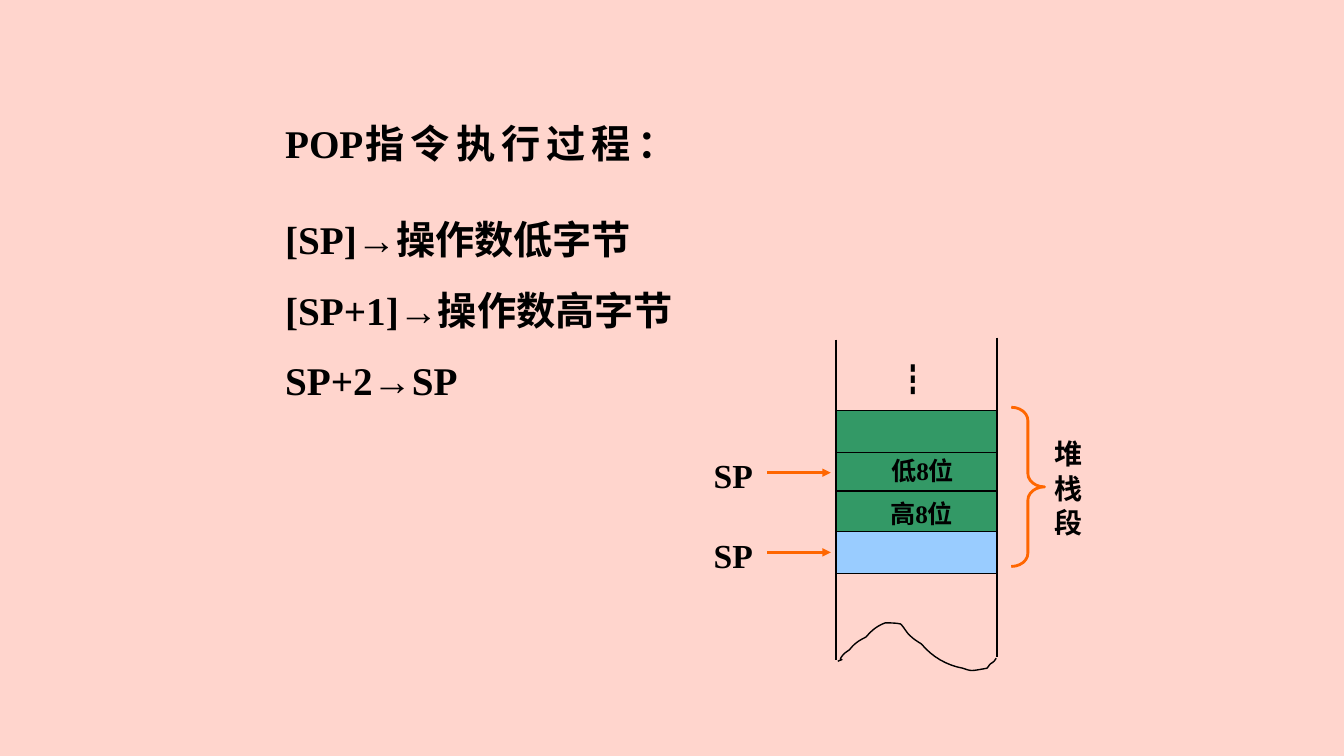
from dataclasses import dataclass

from lxml import etree
from pptx import Presentation
from pptx.dml.color import RGBColor
from pptx.enum.shapes import MSO_CONNECTOR, MSO_SHAPE
from pptx.enum.text import PP_ALIGN
from pptx.oxml.ns import qn
from pptx.util import Inches, Pt

RECTANGLE = MSO_SHAPE.RECTANGLE
RIGHT_BRACE = MSO_SHAPE.RIGHT_BRACE
STRAIGHT = MSO_CONNECTOR.STRAIGHT
LEFT = PP_ALIGN.LEFT
JUSTIFY = PP_ALIGN.JUSTIFY
BLANK_LAYOUT = 6
CURVE_STEPS = 8


@dataclass(frozen=True)
class Theme:
    """Colours, fonts and type sizes of the slide."""

    background: RGBColor = RGBColor(0xFF, 0xD5, 0xCD)
    ink: RGBColor = RGBColor(0, 0, 0)
    used: RGBColor = RGBColor(0x33, 0x99, 0x66)
    free: RGBColor = RGBColor(0x99, 0xCC, 0xFF)
    accent: RGBColor = RGBColor(0xFF, 0x66, 0x00)
    latin: str = "Times New Roman"
    chinese: str = "Noto Sans CJK SC"
    body: int = 28
    pointer: int = 24
    side: int = 20
    cell: int = 18
    leading: float = 1.22


@dataclass(frozen=True)
class Span:
    """A stretch of text with its letter spacing in points."""

    text: str
    tracking: int = 0


@dataclass(frozen=True)
class Label:
    """A text box with its paragraphs."""

    left: float
    top: float
    width: float
    height: float
    size: int
    paras: tuple[tuple[Span, ...], ...]
    align: PP_ALIGN = LEFT
    spread: float = 1.0
    before: int = 0
    wrap: bool = True
    bold: bool = True
    latin: str = "Times New Roman"


@dataclass(frozen=True)
class Line:
    """A straight line, with or without an arrowhead."""

    start: tuple[float, float]
    end: tuple[float, float]
    color: RGBColor
    weight: float
    arrow: bool = False


@dataclass(frozen=True)
class Cell:
    """A memory cell of the stack."""

    row: int
    fill: RGBColor


THEME = Theme()
STACK_LEFT, STACK_RIGHT = 8.29, 9.89
STACK_TOP, ROW_PITCH, ROW_HEIGHT = 4.07, 0.4, 0.42

CELLS = (
    Cell(1, THEME.used),
    Cell(2, THEME.used),
    Cell(3, THEME.free),
    Cell(0, THEME.used),
)

STEPS = ("[SP]→操作数低字节", "[SP+1]→操作数高字节", "SP+2→SP")
LABELS = (
    Label(2.73, 1.94, 4.88, 2.05, THEME.body,
          tuple((Span(step),) for step in STEPS), JUSTIFY, 1.3, 6),
    Label(2.73, 1.13, 3.69, 0.56, THEME.body,
          ((Span("POP"), Span("指令执行过程：", 3)),), JUSTIFY, wrap=False),
    Label(8.79, 3.5, 0.67, 0.5, THEME.pointer, ((Span("┇"),),),
          bold=False, latin=THEME.chinese),
    Label(10.36, 4.28, 0.5, 1.02, THEME.side, ((Span("堆栈段"),),)),
    Label(8.73, 4.89, 1.02, 0.4, THEME.cell, ((Span("高8位"),),)),
    Label(8.74, 4.46, 1.01, 0.4, THEME.cell, ((Span("低8位"),),)),
)
POINTER_TOPS = (5.25, 4.46)

WALLS = (
    Line((STACK_LEFT, 3.37), (STACK_LEFT, 6.55), THEME.ink, 1),
    Line((STACK_RIGHT, 3.35), (STACK_RIGHT, 6.52), THEME.ink, 1),
)

TORN_START = (8.31, 6.56)
TORN_CURVES = (
    ((8.41, 6.52), (8.29, 6.58), (8.36, 6.5)),
    ((8.38, 6.47), (8.42, 6.46), (8.44, 6.43)),
    ((8.48, 6.38), (8.53, 6.35), (8.59, 6.32)),
    ((8.65, 6.25), (8.7, 6.21), (8.78, 6.18)),
    ((8.83, 6.18), (8.88, 6.18), (8.93, 6.19)),
    ((8.95, 6.2), (8.99, 6.27), (9.01, 6.29)),
    ((9.07, 6.35), (9.08, 6.35), (9.14, 6.39)),
    ((9.25, 6.52), (9.39, 6.6), (9.55, 6.63)),
    ((9.64, 6.66), (9.62, 6.66), (9.79, 6.63)),
    ((9.8, 6.62), (9.81, 6.6), (9.82, 6.59)),
    ((9.83, 6.58), (9.84, 6.58), (9.86, 6.56)),
    ((9.87, 6.55), (9.88, 6.53), (9.88, 6.53)),
)


def add_label(page, label: Label) -> None:
    """Write a label run by run."""
    box = page.shapes.add_textbox(
        Inches(label.left), Inches(label.top), Inches(label.width), Inches(label.height))
    frame = box.text_frame
    frame.word_wrap = label.wrap
    for index, spans in enumerate(label.paras):
        para = frame.add_paragraph() if index else frame.paragraphs[0]
        para.alignment = label.align
        para.line_spacing = Pt(round(label.size * THEME.leading * label.spread, 1))
        if index:
            para.space_before = Pt(label.before)
        for span in spans:
            run = para.add_run()
            run.text = span.text
            run.font.size = Pt(label.size)
            run.font.bold = label.bold
            run.font.color.rgb = THEME.ink
            run.font.name = label.latin
            properties = run.font._element
            etree.SubElement(properties, qn("a:ea"), typeface=THEME.chinese)
            if span.tracking:
                properties.set("spc", str(span.tracking * 100))


def add_line(page, line: Line) -> None:
    """Draw a straight line without a shadow."""
    ends = [Inches(value) for value in (*line.start, *line.end)]
    connector = page.shapes.add_connector(STRAIGHT, *ends)
    connector.line.color.rgb = line.color
    connector.line.width = Pt(line.weight)
    if line.arrow:
        etree.SubElement(connector.line._get_or_add_ln(), qn("a:tailEnd"), type="triangle")
    etree.SubElement(connector._element.spPr, qn("a:effectLst"))


def add_cell(page, cell: Cell) -> None:
    """Draw a memory cell in its row."""
    box = page.shapes.add_shape(
        RECTANGLE, Inches(STACK_LEFT), Inches(STACK_TOP + cell.row * ROW_PITCH),
        Inches(STACK_RIGHT - STACK_LEFT), Inches(ROW_HEIGHT))
    box.fill.solid()
    box.fill.fore_color.rgb = cell.fill
    outline(box, THEME.ink, 1)


def outline(shape, color: RGBColor, weight: float) -> None:
    """Set the line of a shape and drop its shadow."""
    shape.shadow.inherit = False
    shape.line.color.rgb = color
    shape.line.width = Pt(weight)


def add_pointer(page, top: float) -> None:
    """Draw an SP label with its arrow."""
    add_label(page, Label(6.98, top, 0.9, 0.51, THEME.pointer, ((Span("SP"),),)))
    level = top + 0.23
    add_line(page, Line((7.61, level), (8.24, level), THEME.accent, 1.75, True))


def add_torn_edge(page) -> None:
    """Draw the wavy lower edge of the memory."""
    points = []
    start = TORN_START
    for first, second, end in TORN_CURVES:
        for step in range(1, CURVE_STEPS + 1):
            t = step / CURVE_STEPS
            u = 1 - t
            points.append(tuple(
                Inches(u**3 * a + 3 * u * u * t * b + 3 * u * t * t * c + t**3 * d)
                for a, b, c, d in zip(start, first, second, end)))
        start = end
    builder = page.shapes.build_freeform(*(Inches(value) for value in TORN_START))
    builder.add_line_segments(points, close=False)
    edge = builder.convert_to_shape()
    edge.fill.background()
    outline(edge, THEME.ink, 1)


def add_brace(page) -> None:
    """Draw the brace beside the stack segment."""
    brace = page.shapes.add_shape(
        RIGHT_BRACE, Inches(10.03), Inches(4.04), Inches(0.33), Inches(1.58))
    brace.adjustments[0] = 0.4
    brace.adjustments[1] = 0.5
    brace.fill.background()
    outline(brace, THEME.accent, 2)


def main() -> None:
    """Build the slide and save it."""
    deck = Presentation()
    deck.slide_width, deck.slide_height = Inches(13.33), Inches(7.5)
    page = deck.slides.add_slide(deck.slide_layouts[BLANK_LAYOUT])
    page.background.fill.solid()
    page.background.fill.fore_color.rgb = THEME.background
    for cell in CELLS:
        add_cell(page, cell)
    for wall in WALLS:
        add_line(page, wall)
    add_torn_edge(page)
    add_brace(page)
    for top in POINTER_TOPS:
        add_pointer(page, top)
    for label in LABELS:
        add_label(page, label)
    deck.save("out.pptx")


if __name__ == "__main__":
    main()
